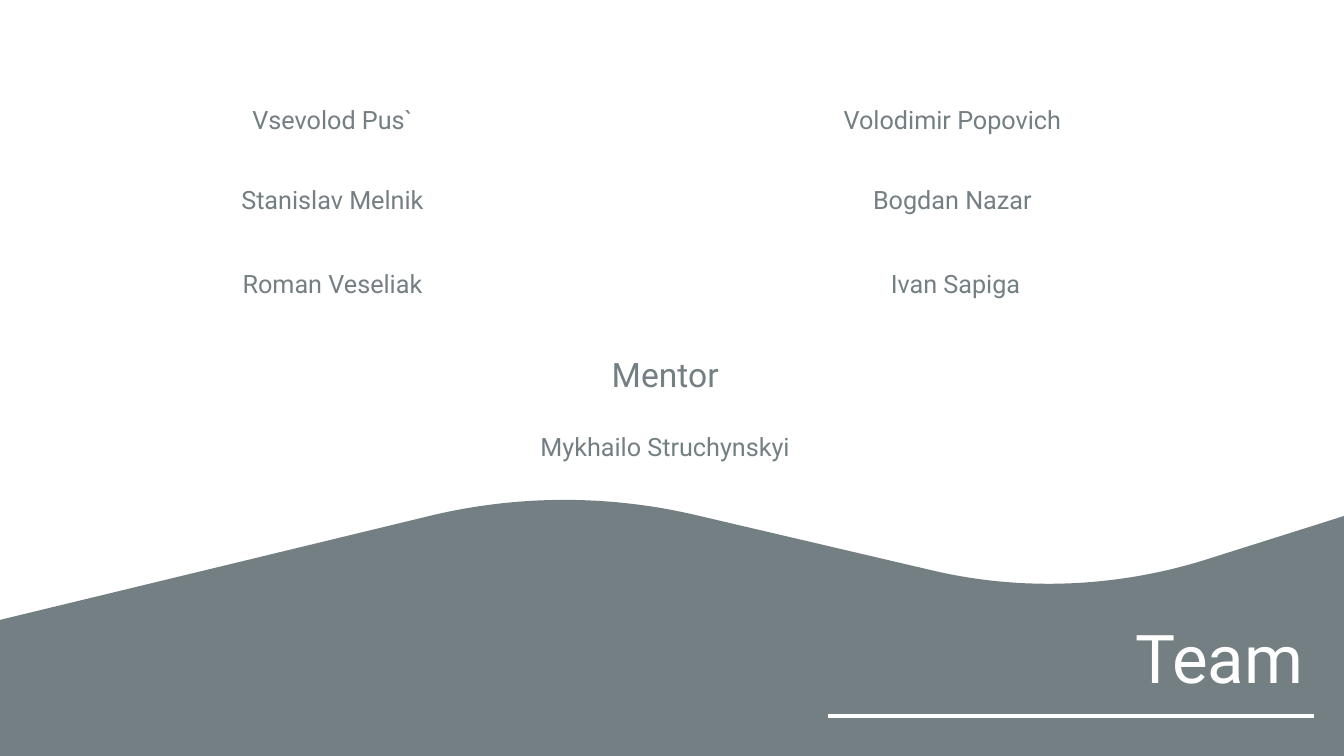
from pptx import Presentation
from pptx.dml.color import RGBColor
from pptx.enum import shapes, text
from pptx.oxml import parse_xml
from pptx.oxml.ns import nsdecls
from pptx.util import Pt

COLOURS = {"slate": "747F83", "white": "FFFFFF"}
TEAM = [
    ("Vsevolod Pus`", "Volodimir Popovich"),
    ("Stanislav Melnik", "Bogdan Nazar"),
    ("Roman Veseliak", " Ivan Sapiga"),
]
ROW_TOPS = (0, 57.6, 117.4)
COLUMN_STEP = 442.8
ENTRY_WIDTH, ENTRY_HEIGHT = 306.7, 30.2
CURVE_STEPS = 40


def colour(name):
    """Return the named palette colour."""
    return RGBColor.from_string(COLOURS[name])


def apply(target, values):
    """Set every attribute in values on target."""
    for name, value in values.items():
        setattr(target, name, value)


def place(shape, box):
    """Move and size a shape to a box given in points."""
    apply(shape, dict(zip(("left", "top", "width", "height"), map(Pt, box))))


def write(shape, words, size, shade, paragraph_format):
    """Fill a text shape with one formatted paragraph."""
    frame = shape.text_frame
    apply(frame, {"word_wrap": True, "auto_size": text.MSO_AUTO_SIZE.NONE,
                  "vertical_anchor": text.MSO_ANCHOR.TOP})
    para = frame.paragraphs[0]
    apply(para, paragraph_format)
    span = para.add_run()
    span.text = words
    apply(span.font, {"name": "Roboto", "size": Pt(size)})
    span.font.color.rgb = colour(shade)


def add_entry(page, box, words, size=18):
    """Add one centred line of text."""
    entry = page.shapes.add_textbox(*map(Pt, box))
    write(entry, words, size, "slate",
          {"alignment": text.PP_ALIGN.CENTER, "line_spacing": 1.07,
           "space_after": Pt(8)})


def bezier(points):
    """Return evenly sampled points on a cubic curve."""
    samples = []
    for step in range(CURVE_STEPS + 1):
        t = step / CURVE_STEPS
        weights = ((1 - t) ** 3, 3 * t * (1 - t) ** 2, 3 * t * t * (1 - t), t ** 3)
        samples.append(tuple(sum(w * point[axis] for w, point in zip(weights, points))
                             for axis in (0, 1)))
    return samples


def add_wave(page, box):
    """Draw the wave that fills the foot of the slide."""
    left, top, width, height = box
    crest = bezier([(309.6, 14.4), (370.8, 0), (435.6, 0), (496.8, 14.4)])
    trough = bezier([(663.1, 53.3), (727.9, 69.1), (796.3, 66.3), (859.7, 46.8)])
    outline = [(0, 89.3), *crest, *trough, (width, 15.1), (width, height), (0, height)]
    start, *rest = [(Pt(left + x), Pt(top + y)) for x, y in outline]
    builder = page.shapes.build_freeform(*start, scale=1.0)
    builder.add_line_segments(rest, close=True)
    wave = builder.convert_to_shape()
    wave.shadow.inherit = False
    wave.fill.solid()
    wave.fill.fore_color.rgb = colour("slate")
    wave.line.fill.background()


def add_team(page, box):
    """Set the member names in two columns."""
    left, top = box[:2]
    for offset, names in zip(ROW_TOPS, TEAM):
        for column, name in enumerate(names):
            add_entry(page, (left + column * COLUMN_STEP, top + offset,
                             ENTRY_WIDTH, ENTRY_HEIGHT), name)


def add_mentor(page, box):
    """Set the mentor heading with the name below it."""
    left, top, width, height = box
    add_entry(page, (left, top, width, 38.2), "Mentor", 24)
    add_entry(page, (left, top + height - ENTRY_HEIGHT, width, ENTRY_HEIGHT),
              "Mykhailo Struchynskyi")


def add_heading(page, box):
    """Set the slide title and the rule under it."""
    left, top, width, height = box
    title = page.shapes.title
    page.shapes._spTree.append(title._element)
    place(title, (left, top, width, 65.5))
    write(title, "Team", 48, "white", {"alignment": text.PP_ALIGN.RIGHT})
    rule = page.shapes.add_connector(
        shapes.MSO_CONNECTOR.STRAIGHT, Pt(left + 64.1), Pt(top + height),
        Pt(left + width + 0.7), Pt(top + height))
    rule.line.width = Pt(3)
    rule.line.color.rgb = colour("white")
    rule._element.spPr.append(parse_xml(f"<a:effectLst {nsdecls('a')}/>"))


def main():
    """Build and save the team slide."""
    deck = Presentation()
    apply(deck, {"slide_width": Pt(960), "slide_height": Pt(540)})
    page = deck.slides.add_slide(deck.slide_layouts[5])
    page.background.fill.solid()
    page.background.fill.fore_color.rgb = colour("white")
    add_wave(page, (0, 353.5, 960, 186.5))
    add_team(page, (84.2, 69.1, 749.5, 147.6))
    add_mentor(page, (321.8, 247, ENTRY_WIDTH, 86.3))
    add_heading(page, (527, 436.3, 411.1, 74.9))
    deck.save("out.pptx")


if __name__ == "__main__":
    main()
